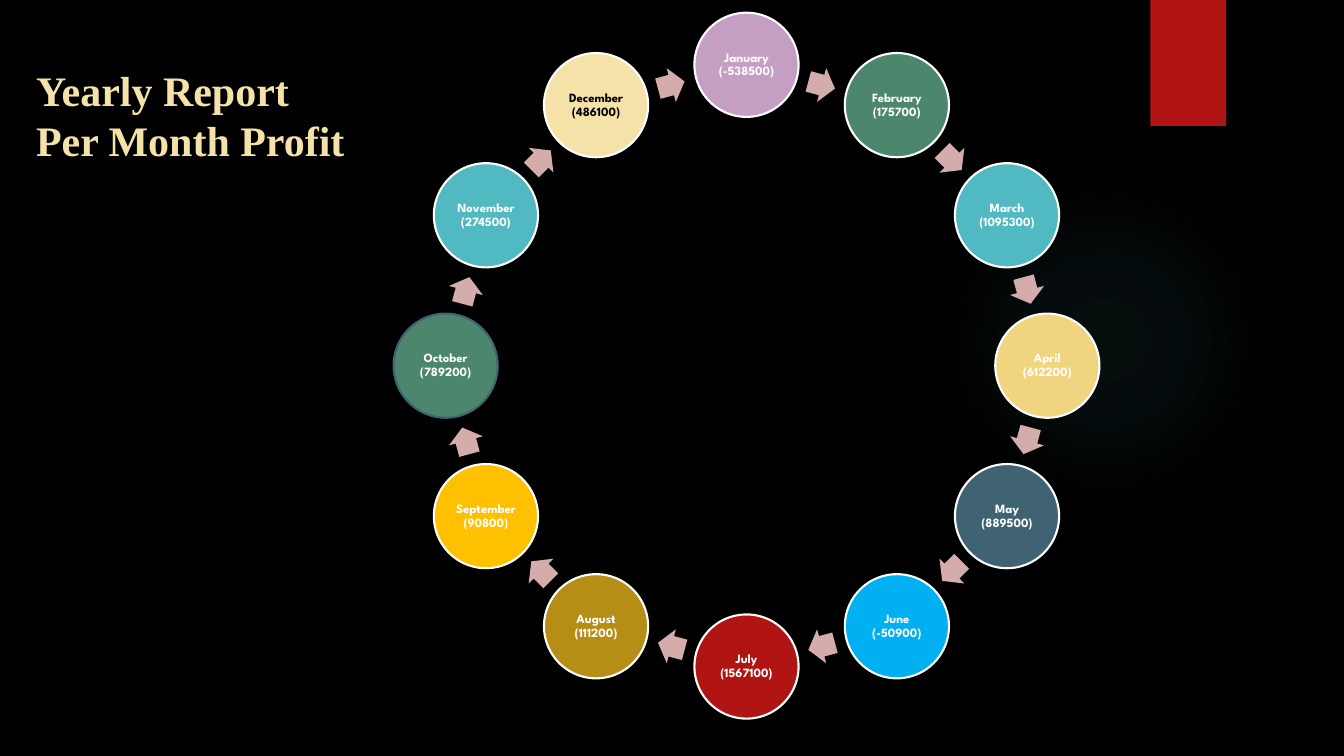
"""Build the yearly report slide: monthly profit as a ring of twelve circles."""
from math import cos, radians, sin

from lxml import etree
from pptx import Presentation
from pptx.dml.color import RGBColor
from pptx.enum import shapes, text
from pptx.oxml import ns
from pptx.util import Pt

CENTER_X, CENTER_Y = 533.2, 261.2
MONTH_RADIUS, ARROW_RADIUS = 214.9, 207.5
MONTH_SIZE = 74.4
ARROW_WIDTH, ARROW_HEIGHT = 19.7, 25.1
WHITE, NAVY, CREAM = "FFFFFF", "3F6373", "F5E2A9"
MONTHS = [
    ("January", -538500, "C59EC3"),
    ("February", 175700, "4B866D"),
    ("March", 1095300, "50B9C1"),
    ("April", 612200, "F0D47F"),
    ("May", 889500, NAVY),
    ("June", -50900, "00B0F0"),
    ("July", 1567100, "B01513"),
    ("August", 111200, "B68E15"),
    ("September", 90800, "FFC000"),
    ("October", 789200, "4B866D"),
    ("November", 274500, "50B9C1"),
    ("December", 486100, CREAM),
]


def color(value):
    return RGBColor.from_string(value)


def on_ring(radius, angle):
    turn = radians(angle)
    return CENTER_X + radius * sin(turn), CENTER_Y - radius * cos(turn)


class ReportSlide:
    def __init__(self, slide):
        self.slide = slide
        self.slide.background.fill.solid()
        self.slide.background.fill.fore_color.rgb = color("000000")

    def shape(self, kind, left, top, width, height, fill, line=None):
        shape = self.slide.shapes.add_shape(kind, Pt(left), Pt(top), Pt(width), Pt(height))
        shape.shadow.inherit = False
        shape.fill.solid()
        shape.fill.fore_color.rgb = color(fill)
        if line:
            shape.line.color.rgb = color(line)
            shape.line.width = Pt(1.5)
        else:
            shape.line.fill.background()
        return shape

    def glow(self, left, top, size, tint, stops):
        glow = self.shape(shapes.MSO_SHAPE.OVAL, left, top, size, size, tint)
        solid = glow._element.spPr.find(ns.qn("a:solidFill"))
        gradient = etree.Element(ns.qn("a:gradFill"))
        stop_list = etree.SubElement(gradient, ns.qn("a:gsLst"))
        for position, alpha in stops:
            stop = etree.SubElement(stop_list, ns.qn("a:gs"), pos=str(position * 1000))
            shade = etree.SubElement(stop, ns.qn("a:srgbClr"), val=tint)
            etree.SubElement(shade, ns.qn("a:alpha"), val=str(alpha * 1000))
        circle = etree.SubElement(gradient, ns.qn("a:path"), path="circle")
        etree.SubElement(circle, ns.qn("a:fillToRect"), l="50000", t="50000", r="50000", b="50000")
        solid.getparent().replace(solid, gradient)

    def month(self, angle, label, fill, line, ink):
        x, y = on_ring(MONTH_RADIUS, angle)
        month = self.shape(shapes.MSO_SHAPE.OVAL, x - MONTH_SIZE / 2, y - MONTH_SIZE / 2,
                           MONTH_SIZE, MONTH_SIZE, fill, line)
        frame = month.text_frame
        frame.word_wrap = True
        frame.vertical_anchor = text.MSO_ANCHOR.MIDDLE
        frame.margin_left = frame.margin_right = Pt(0.9)
        frame.margin_top = frame.margin_bottom = Pt(0.9)
        caption = frame.paragraphs[0]
        caption.text = label
        caption.alignment = text.PP_ALIGN.CENTER
        caption.line_spacing = 0.9
        self.style(caption, "League Spartan", 9, ink)

    def arrow(self, angle):
        x, y = on_ring(ARROW_RADIUS, angle)
        arrow = self.shape(shapes.MSO_SHAPE.RIGHT_ARROW, x - ARROW_WIDTH / 2,
                           y - ARROW_HEIGHT / 2, ARROW_WIDTH, ARROW_HEIGHT, "D4ACAB")
        arrow.adjustments[0], arrow.adjustments[1] = 0.6, 0.5
        arrow.rotation = angle

    def title(self, left, top, width, height, lines):
        frame = self.slide.shapes.add_textbox(Pt(left), Pt(top), Pt(width), Pt(height)).text_frame
        frame.word_wrap = True
        frame.text = "\n".join(lines)
        for heading in frame.paragraphs:
            heading.line_spacing = Pt(36)
            self.style(heading, "Times New Roman", 30, CREAM)

    def style(self, paragraph, font, size, ink):
        paragraph.font.name = font
        paragraph.font.size = Pt(size)
        paragraph.font.bold = True
        paragraph.font.color.rgb = color(ink)


def main():
    deck = Presentation()
    deck.slide_width, deck.slide_height = Pt(960), Pt(540)
    report = ReportSlide(deck.slides.add_slide(deck.slide_layouts[6]))
    report.glow(677.5, 131.8, 221.8, "50B9C1", [(0, 7), (36, 6), (69, 0)])
    report.shape(shapes.MSO_SHAPE.RECTANGLE, 821.8, 0, 54, 90, "B01513")
    step = 360 / len(MONTHS)
    for index, (name, profit, fill) in enumerate(MONTHS):
        line = NAVY if name == "October" else WHITE
        ink = "000000" if name == "December" else WHITE
        report.month(index * step, f"{name} ({profit})", fill, line, ink)
        report.arrow((index + 0.5) * step)
    report.title(18.7, 42.5, 360, 116.6, ["Yearly Report", "Per Month Profit"])
    deck.save("out.pptx")


if __name__ == "__main__":
    main()
